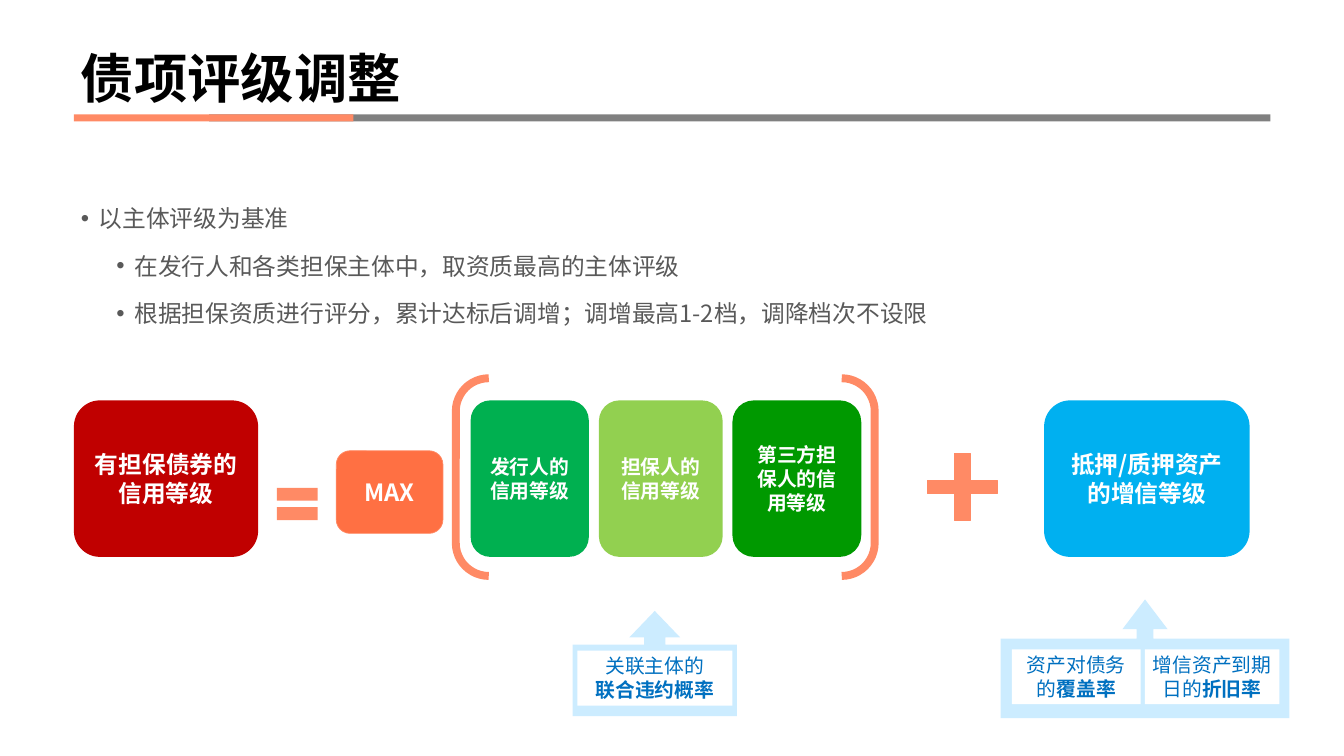
from pptx import Presentation
from pptx.dml.color import RGBColor
from pptx.enum.shapes import MSO_SHAPE
from pptx.enum.text import MSO_ANCHOR, PP_ALIGN
from pptx.oxml.ns import qn
from pptx.util import Cm, Pt
from lxml.etree import SubElement

WHITE = RGBColor(0xFF, 0xFF, 0xFF)
BLACK = RGBColor(0, 0, 0)
GRAY = RGBColor(0x80, 0x80, 0x80)
TEXT_GRAY = RGBColor(0x59, 0x59, 0x59)
CORAL = RGBColor(0xFF, 0x8A, 0x65)
ORANGE = RGBColor(0xFF, 0x70, 0x43)
RED = RGBColor(0xC0, 0, 0)
GREEN = RGBColor(0, 0xB0, 0x50)
LIME = RGBColor(0x92, 0xD0, 0x50)
DARK_GREEN = RGBColor(0, 0x99, 0)
SKY = RGBColor(0, 0xB0, 0xF0)
PALE_BLUE = RGBColor(0xCC, 0xEC, 0xFF)
NOTE_BLUE = RGBColor(0, 0x70, 0xC0)


class SlideBuilder:
    heading_font = "Noto Sans CJK SC"
    note_font = "Arial"

    def __init__(self, slide):
        self.shapes = slide.shapes

    def style(self, span, size, color, bold=False, name=heading_font):
        font = span.font
        font.size = Pt(size)
        font.bold = bold
        font.color.rgb = color
        font.name = name
        SubElement(font._element, qn("a:ea"), typeface=self.heading_font)

    def shape(self, kind, place, fill=None, line=None, width=1, adjustments=()):
        shape = self.shapes.add_shape(kind, *map(Cm, place))
        shape.shadow.inherit = False
        if fill is None:
            shape.fill.background()
        else:
            shape.fill.solid()
            shape.fill.fore_color.rgb = fill
        if line is None:
            shape.line.fill.background()
        else:
            shape.line.color.rgb = line
            shape.line.width = Pt(width)
        for index, value in enumerate(adjustments):
            shape.adjustments[index] = value
        return shape

    def card(self, text, place, fill, size, line=None):
        card = self.shape(MSO_SHAPE.ROUNDED_RECTANGLE, place, fill, line, 0.75)
        frame = card.text_frame
        frame.word_wrap = True
        frame.vertical_anchor = MSO_ANCHOR.MIDDLE
        frame.margin_left = frame.margin_right = Cm(0.36)
        frame.margin_top = frame.margin_bottom = Cm(0.18)
        frame.text = text
        for para in frame.paragraphs:
            para.alignment = PP_ALIGN.CENTER
            self.style(para.runs[0], size, WHITE, True)

    def note(self, lines, place):
        frame = self.shape(MSO_SHAPE.RECTANGLE, place, WHITE).text_frame
        frame.word_wrap = True
        frame.vertical_anchor = MSO_ANCHOR.TOP
        for index, spans in enumerate(lines):
            para = frame.paragraphs[0] if index == 0 else frame.add_paragraph()
            para.alignment = PP_ALIGN.CENTER
            for text, bold in spans:
                span = para.add_run()
                span.text = text
                self.style(span, 20, NOTE_BLUE, bold, self.note_font)

    def text_box(self, text, place, anchor):
        frame = self.shapes.add_textbox(*map(Cm, place)).text_frame
        frame.word_wrap = True
        frame.vertical_anchor = anchor
        frame.text = text
        return frame

    def title(self, text, place):
        para = self.text_box(text, place, MSO_ANCHOR.BOTTOM).paragraphs[0]
        para.line_spacing = 0.9
        self.style(para.runs[0], 54, BLACK, True)

    def bullets(self, items, place):
        text = "\n".join(item for item, level in items)
        frame = self.text_box(text, place, MSO_ANCHOR.TOP)
        for para, (item, level) in zip(frame.paragraphs, items):
            para.level = level
            para.line_spacing = 1.5
            para.space_before = Pt(5 * level)
            properties = para._p.get_or_add_pPr()
            properties.set("marL", str(Cm(0.64 + 1.27 * level)))
            properties.set("indent", str(-Cm(0.64)))
            SubElement(properties, qn("a:buFont"), typeface="Arial")
            SubElement(properties, qn("a:buChar"), char="•")
            self.style(para.runs[0], 24, TEXT_GRAY)


def main():
    deck = Presentation()
    deck.slide_width, deck.slide_height = Cm(48), Cm(27)
    page = SlideBuilder(deck.slides.add_slide(deck.slide_layouts[6]))

    page.shape(MSO_SHAPE.RECTANGLE, (7.47, 4.09, 37.9, 0.25), GRAY)
    page.shape(MSO_SHAPE.RECTANGLE, (2.64, 4.09, 9.98, 0.25), CORAL)
    page.title("债项评级调整", (2.64, 0, 42.95, 4.04))
    page.bullets([
        ("以主体评级为基准", 0),
        ("在发行人和各类担保主体中，取资质最高的主体评级", 1),
        ("根据担保资质进行评分，累计达标后调增；调增最高1-2档，调降档次不设限", 1),
    ], (2.64, 6.65, 42.95, 5.28))

    for text, left, width, fill, size in [
        ("有担保债券的信用等级", 2.64, 6.58, RED, 24),
        ("发行人的信用等级", 16.81, 4.22, GREEN, 20),
        ("担保人的信用等级", 21.39, 4.42, LIME, 20),
        ("第三方担保人的信用等级", 26.16, 4.6, DARK_GREEN, 20),
        ("抵押/质押资产\n的增信等级", 37.29, 7.34, SKY, 24),
    ]:
        page.card(text, (left, 14.3, width, 5.59), fill, size)
    page.card("MAX", (12.01, 16.1, 3.81, 2.95), ORANGE, 24, CORAL)

    page.shape(MSO_SHAPE.MATH_EQUAL, (9.63, 17.02, 1.98, 1.96), CORAL)
    page.shape(MSO_SHAPE.DOUBLE_BRACKET, (16.28, 13.51, 14.96, 7.06), line=CORAL, width=8)
    page.shape(MSO_SHAPE.CROSS, (33.12, 16.18, 2.49, 2.41), CORAL, CORAL, adjustments=(0.4,))

    for place, adjustments in [
        ((35.74, 21.41, 10.31, 4.24), (0.14, 0.19, 0.25, 0.67)),
        ((20.45, 21.82, 5.87, 3.76), (0.2, 0.24, 0.25, 0.68)),
    ]:
        page.shape(MSO_SHAPE.UP_ARROW_CALLOUT, place, PALE_BLUE, adjustments=adjustments)
    page.note([[("资产对债务的", False), ("覆盖率", True)]], (36.14, 23.19, 4.6, 1.96))
    page.note([[("增信资产到期日的", False), ("折旧率", True)]], (40.89, 23.19, 4.8, 1.96))
    page.note([[("关联主体的", False)], [("联合违约概率", True)]], (20.62, 23.24, 5.54, 1.96))

    deck.save("out.pptx")


if __name__ == "__main__":
    main()
